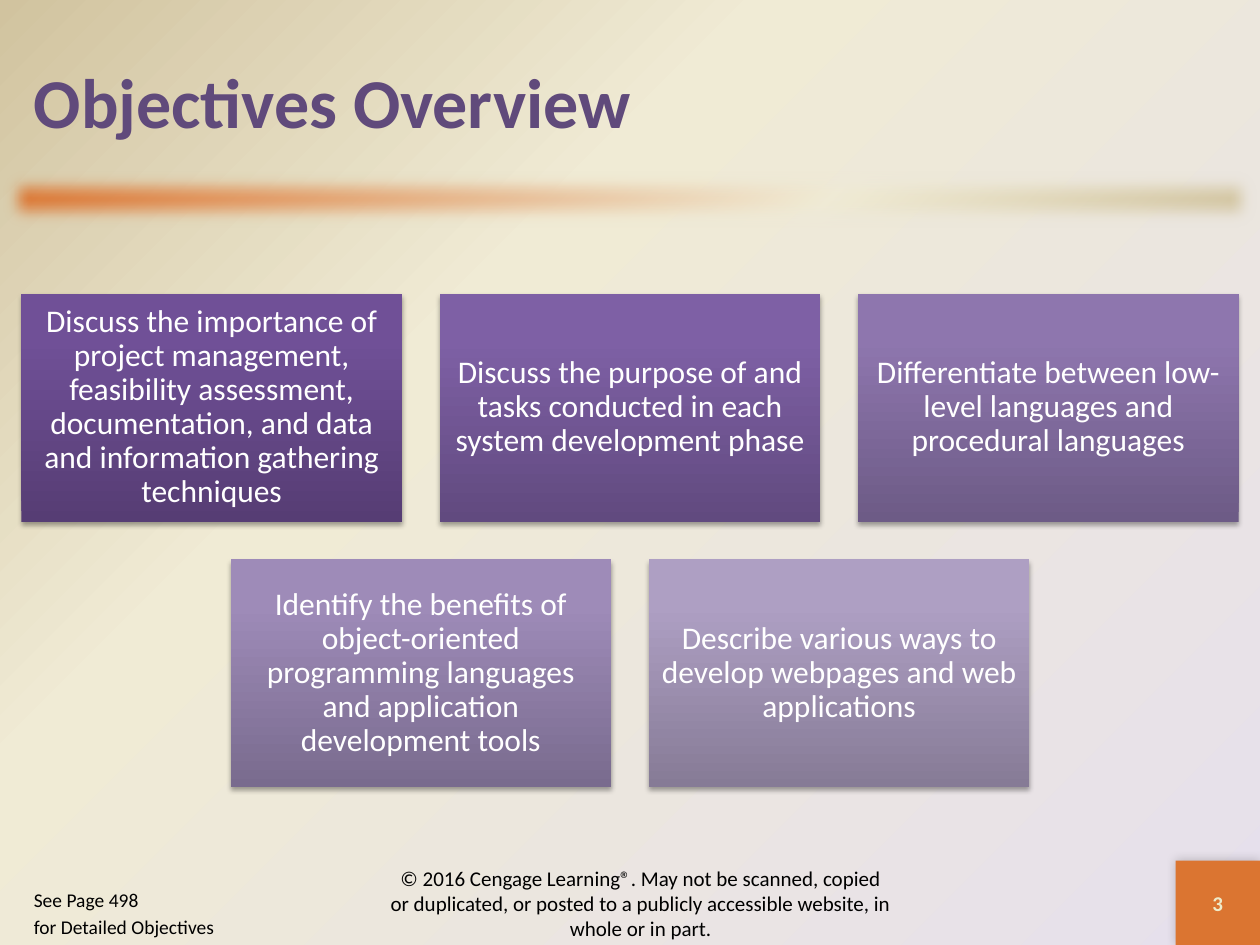
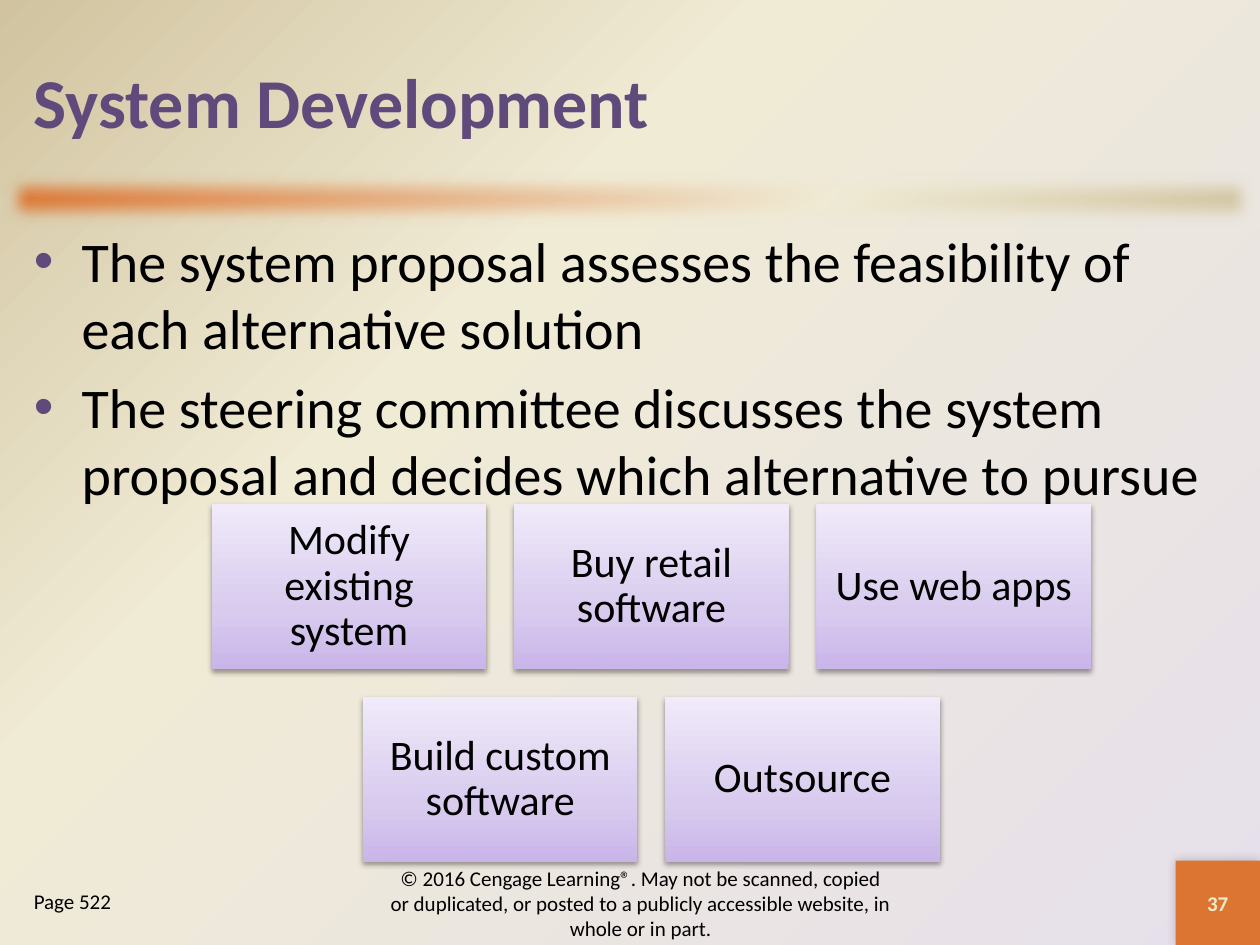
from dataclasses import dataclass

from lxml.etree import SubElement
from pptx import Presentation
from pptx.dml.color import RGBColor
from pptx.enum.shapes import MSO_SHAPE
from pptx.enum.text import MSO_ANCHOR, PP_ALIGN
from pptx.oxml import parse_xml
from pptx.oxml.ns import nsdecls, qn
from pptx.util import Inches, Pt


@dataclass(frozen=True)
class Theme:
    font: str = "Calibri"
    purple: str = "604A7B"
    orange: str = "DB7531"
    cream: str = "F0EBD5"
    tan: str = "D1C39F"
    lavender: str = "E6E0EC"
    pale: str = "EEEBCA"
    white: str = "FFFFFF"
    black: str = "000000"
    title_size: float = 40
    body_size: float = 32
    small_size: float = 12


theme = Theme()
COPYRIGHT = (
    "© 2016 Cengage Learning®. May not be scanned, copied or duplicated, "
    "or posted to a publicly accessible website, in whole or in part."
)
BAND_STOPS = [(0, theme.orange), (65, theme.cream), (100, theme.tan)]
BACKGROUND_STOPS = [(0, theme.lavender), (65, theme.cream), (100, theme.tan)]
SOFT_EDGE = f'<a:softEdge {nsdecls("a")} rad="127000"/>'
SHADOW = (
    f'<a:outerShdw {nsdecls("a")} blurRad="%d" dist="%d" dir="%d" algn="ctr" rotWithShape="0">'
    f'<a:srgbClr val="{theme.black}"><a:alpha val="%d"/></a:srgbClr></a:outerShdw>'
)
NUMBER_SHADOW = SHADOW % (Pt(6), 0, 225 * 60000, 20000)
RETAIL_STOPS = [(0, "C9B5E8"), (35, "D8CBEE"), (100, "F0EAF9")]

slides = [
    {
        "title": "Objectives Overview",
        "number": "3",
        "page_lines": ["See Page 498", "for Detailed Objectives"],
        "page_size": 11.1,
        "bullets": [],
        "cards": [
            ("Discuss the importance of project management, feasibility assessment, "
             "documentation, and data and information gathering techniques",
             [(0, "563D74"), (80, "705097"), (100, "704F99")]),
            ("Discuss the purpose of and tasks conducted in each system development phase",
             [(0, "614A7F"), (80, "7E60A5"), (100, "7F60A7")]),
            ("Differentiate between low-level languages and procedural languages",
             [(0, "6D5B86"), (80, "8E76AE"), (100, "8E75B0")]),
            ("Identify the benefits of object-oriented programming languages "
             "and application development tools",
             [(0, "796B8E"), (80, "9E8BB8"), (100, "9E8BBA")]),
            ("Describe various ways to develop webpages and web applications",
             [(0, "867B96"), (80, "AE9FC3"), (100, "AE9FC4")]),
        ],
        "grid": {"center": 5.0, "top": 2.33, "width": 3.02, "height": 1.81, "gap": 0.3},
        "card_text": {"size": 18, "color": theme.white, "inset": 0.07},
        "card_shadow": SHADOW % (Pt(3.1), Pt(1.8), 90 * 60000, 35000),
    },
    {
        "title": "System Development",
        "number": "37",
        "page_lines": ["Page 522"],
        "page_size": theme.small_size,
        "bullets": [
            "The system proposal assesses the feasibility of each alternative solution",
            "The steering committee discusses the system proposal and decides "
            "which alternative to pursue",
        ],
        "cards": [
            (option, RETAIL_STOPS)
            for option in ("Modify existing system", "Buy retail software", "Use web apps",
                           "Build custom software", "Outsource")
        ],
        "grid": {"center": 5.17, "top": 4.0, "width": 2.18, "height": 1.31, "gap": 0.22},
        "card_text": {"size": 24, "color": theme.black, "inset": 0.1},
        "card_shadow": SHADOW % (Pt(3.1), Pt(1.6), 90 * 60000, 38000),
    },
]


def set_gradient(element, stops, direction):
    """Replace the gradient inside element with the given stops and direction."""
    stop_list = "".join(
        f'<a:gs pos="{position * 1000}"><a:srgbClr val="{color}"/></a:gs>'
        for position, color in stops
    )
    old_gradient = next(element.iter(qn("a:gradFill")))
    old_gradient.getparent().replace(old_gradient, parse_xml(
        f'<a:gradFill {nsdecls("a")} rotWithShape="1">'
        f"<a:gsLst>{stop_list}</a:gsLst>{direction}</a:gradFill>"
    ))


def write_text(shape, lines, size, color=theme.black, bold=False, align=PP_ALIGN.LEFT,
               anchor=MSO_ANCHOR.MIDDLE, inset=None, spacing=None, bullet=False):
    frame = shape.text_frame
    frame.word_wrap = True
    frame.vertical_anchor = anchor
    if inset is not None:
        frame.margin_left = frame.margin_right = Inches(inset)
        frame.margin_top = frame.margin_bottom = Inches(inset)
    for index, line in enumerate(lines):
        paragraph = frame.add_paragraph() if index else frame.paragraphs[0]
        paragraph.alignment = align
        if spacing:
            paragraph.line_spacing = spacing
        if index:
            paragraph.space_before = Pt(size * 0.2)
        if bullet:
            properties = paragraph._p.get_or_add_pPr()
            properties.set("marL", str(Inches(0.38)))
            properties.set("indent", str(-Inches(0.38)))
            bullet_color = SubElement(properties, qn("a:buClr"))
            SubElement(bullet_color, qn("a:srgbClr"), val=theme.purple)
            SubElement(properties, qn("a:buFont"), typeface="Arial")
            SubElement(properties, qn("a:buChar"), char="•")
        run = paragraph.add_run()
        run.text = line
        run.font.name = theme.font
        run.font.size = Pt(size)
        run.font.bold = bold
        run.font.color.rgb = RGBColor.from_string(color)


presentation = Presentation()
presentation.slide_width = Inches(10)
presentation.slide_height = Inches(7.5)

# Shared background, spreading from the bottom right corner
master = presentation.slide_master
master.background.fill.gradient()
set_gradient(master.element, BACKGROUND_STOPS,
             '<a:path path="circle"><a:fillToRect l="100000" t="100000"/></a:path>')

for content in slides:
    slide = presentation.slides.add_slide(presentation.slide_layouts[6])

    # Title, bullets and footers
    texts = [
        ((0.17, 0.17, 9.67, 1.25), [content["title"]],
         {"size": theme.title_size, "color": theme.purple, "bold": True}),
        ((3, 6.92, 4.17, 0.5), [COPYRIGHT],
         {"size": theme.small_size, "align": PP_ALIGN.CENTER}),
        ((0.17, 7, 1.83, 0.5), content["page_lines"],
         {"size": content["page_size"], "anchor": MSO_ANCHOR.TOP}),
    ]
    if content["bullets"]:
        texts.append(((0.17, 1.75, 9.67, 5.08), content["bullets"],
                      {"size": theme.body_size, "anchor": MSO_ANCHOR.TOP, "bullet": True}))
    for box, lines, style in texts:
        text_box = slide.shapes.add_textbox(*map(Inches, box))
        write_text(text_box, lines, **style)

    # Band under the title and page number square
    panels = [
        ((0, 1.33, 10, 0.5), BAND_STOPS, 45, SOFT_EDGE, None, {}),
        ((9.33, 6.83, 0.67, 0.67), theme.orange, 0, NUMBER_SHADOW, content["number"],
         {"size": theme.small_size, "color": theme.pale, "bold": True,
          "align": PP_ALIGN.CENTER}),
    ]

    # Cards: rows of three, each row centred
    grid = content["grid"]
    card_style = {**content["card_text"], "align": PP_ALIGN.CENTER, "spacing": 0.9}
    for row, first in enumerate(range(0, len(content["cards"]), 3)):
        row_cards = content["cards"][first:first + 3]
        pitch = grid["width"] + grid["gap"]
        row_left = grid["center"] - (len(row_cards) * pitch - grid["gap"]) / 2
        card_top = grid["top"] + row * (grid["height"] + grid["gap"])
        for column, (label, stops) in enumerate(row_cards):
            box = (row_left + column * pitch, card_top, grid["width"], grid["height"])
            panels.append((box, stops, 270, content["card_shadow"], label, card_style))

    # Draw every filled panel with its effect and text
    for box, fill, angle, effect, label, style in panels:
        shape = slide.shapes.add_shape(MSO_SHAPE.RECTANGLE, *map(Inches, box))
        shape.line.fill.background()
        if isinstance(fill, str):
            shape.fill.solid()
            shape.fill.fore_color.rgb = RGBColor.from_string(fill)
        else:
            shape.fill.gradient()
            set_gradient(shape._element, fill, f'<a:lin ang="{angle * 60000}" scaled="0"/>')
        shape.shadow.inherit = False
        shape._element.spPr.find(qn("a:effectLst")).append(parse_xml(effect))
        if label:
            write_text(shape, [label], **style)

presentation.save("out.pptx")
